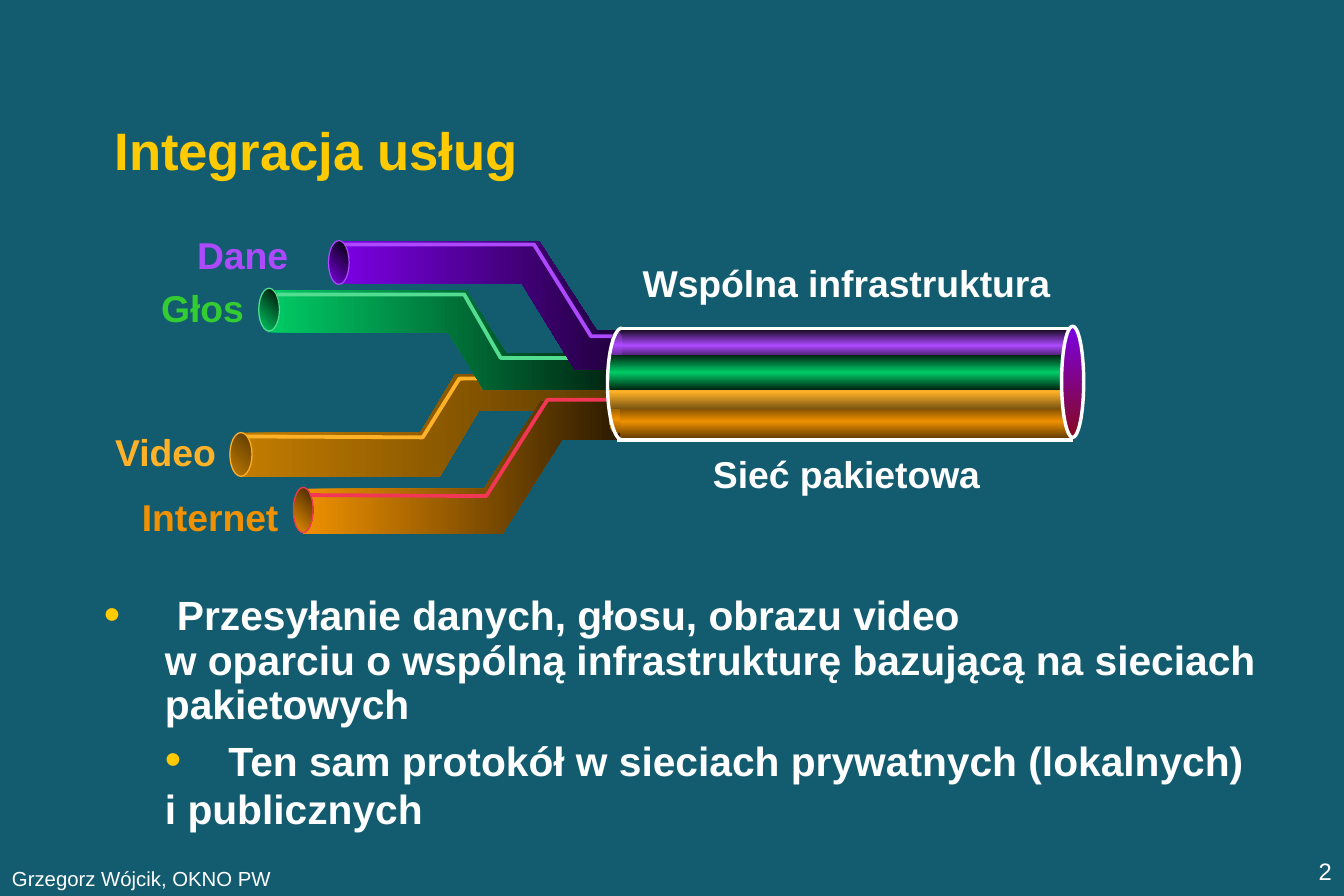
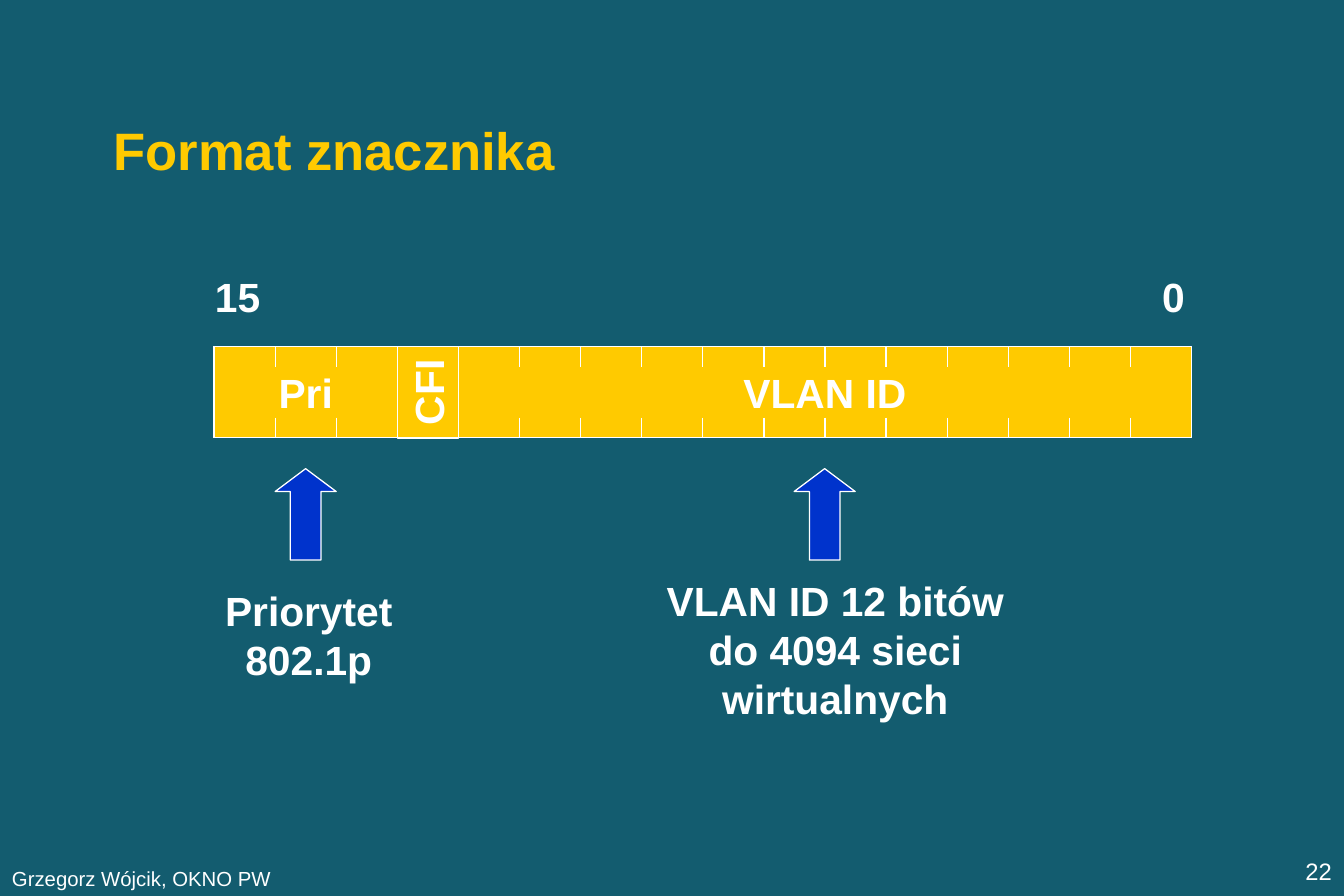
from copy import deepcopy
from math import cos, pi, sin

from pptx import Presentation
from pptx.dml.color import RGBColor
from pptx.enum.shapes import MSO_CONNECTOR, MSO_SHAPE
from pptx.enum.text import MSO_ANCHOR, PP_ALIGN
from pptx.oxml import parse_xml
from pptx.oxml.ns import nsdecls, qn
from pptx.util import Cm, Pt

WHITE, YELLOW, BLUE, TEAL = "FFFFFF", "FFCA00", "0033CC", "135C6F"
PURPLE, GREEN, AMBER, ORANGE = "AD49FF", "00CC66", "FFB227", "EF9100"
colour = RGBColor.from_string


def paint(shape, fill=(), line=None, width=0.75, angle=0):
    """Fill with no colour, one colour or a gradient; set the line and drop the shadow."""
    properties = shape._element.spPr
    if hasattr(shape, "fill"):
        if not fill:
            shape.fill.background()
        elif len(fill) == 1:
            shape.fill.solid()
            shape.fill.fore_color.rgb = colour(fill[0])
        else:
            shape.fill.gradient()
            shape.fill.gradient_angle = angle
            stops = properties.find(".//" + qn("a:gsLst"))
            for _ in fill[2:]:
                stops.append(deepcopy(stops[-1]))
            for number, stop in enumerate(shape.fill.gradient_stops):
                stop.position = number / (len(fill) - 1)
                stop.color.rgb = colour(fill[number])
    if line:
        shape.line.color.rgb = colour(line)
        shape.line.width = Pt(width)
    else:
        shape.line.fill.background()
    properties.append(parse_xml(f"<a:effectLst {nsdecls('a')}/>"))


def write(box, lines, size=24, ink=WHITE, bold=True, align=PP_ALIGN.LEFT,
          anchor=MSO_ANCHOR.TOP, inset=(0.25, 0.13), spacing=None):
    frame = box.text_frame
    side, end = map(Cm, inset)
    frame_format = {"word_wrap": True, "vertical_anchor": anchor,
                    "margin_left": side, "margin_right": side,
                    "margin_top": end, "margin_bottom": end}
    for name, value in frame_format.items():
        setattr(frame, name, value)
    for number, line in enumerate(lines):
        para = frame.add_paragraph() if number else frame.paragraphs[0]
        para.alignment = align
        para.line_spacing = spacing
        span = para.add_run()
        span.text = line
        font_format = {"name": "Arial", "size": Pt(size), "bold": bold}
        for name, value in font_format.items():
            setattr(span.font, name, value)
        span.font.color.rgb = colour(ink)


deck = Presentation()
deck.slide_width, deck.slide_height = Cm(27.94), Cm(18.62)
background = deck.slide_master.background.fill
background.solid()
background.fore_color.rgb = colour(TEAL)

# Title, author and page number on both slides
pages = []
for title, place, number in [
    ("Integracja usług", (2.13, 2.41, 9.6, 1.5), "2"),
    ("Format znacznika", (2.11, 2.41, 23.7, 1.5), "22"),
]:
    page = deck.slides.add_slide(deck.slide_layouts[6])
    pages.append(page)
    box = page.shapes.add_textbox(Cm(0), Cm(17.88), Cm(6.5), Cm(0.74))
    write(box, ["Grzegorz Wójcik, OKNO PW"], 12, bold=False, anchor=MSO_ANCHOR.MIDDLE)
    box = page.shapes.add_textbox(Cm(22.86), Cm(17.68), Cm(5.08), Cm(0.86))
    write(box, [number], 14, bold=False, align=PP_ALIGN.RIGHT, anchor=MSO_ANCHOR.MIDDLE)
    box = page.shapes.add_textbox(*map(Cm, place))
    write(box, [title], 31, YELLOW, anchor=MSO_ANCHOR.MIDDLE, spacing=0.95)
services, tag = pages

# Slide 1: four service pipes that run into one
box = services.shapes.add_textbox(Cm(12.42), Cm(5.46), Cm(10.36), Cm(4.93))
write(box, ["Wspólna infrastruktura", "Sieć pakietowa"], 22, align=PP_ALIGN.CENTER,
      inset=(0.18, 0.1), spacing=0.85)
box.text_frame.paragraphs[1].space_before = Pt(90)

pipes = [
    {"label": "Video", "ink": AMBER, "label_place": (1.83, 8.74, 3.02, 1.3),
     "body": [(5, 9.91), (9.14, 9.91), (9.96, 8.53), (12.98, 8.53),
              (12.98, 7.77), (9.47, 7.77), (8.74, 8.99), (5, 8.99)],
     "body_fill": ("C27C00", "5A3900"),
     "shine": [(5, 9.07), (8.79, 9.09), (9.55, 7.87), (10.95, 7.85)], "shine_colour": AMBER,
     "mouth": (4.78, 8.99, 0.46, 0.91), "mouth_fill": ("C27C00", "5A3900")},
    {"label": "Internet", "ink": ORANGE, "label_place": (2.24, 10.08, 3.91, 1.3),
     "body": [(6.3, 11.1), (10.44, 11.1), (11.68, 9.14), (13.06, 9.14),
              (13.06, 8.36), (11.25, 8.33), (10.06, 10.16), (6.32, 10.16)],
     "body_fill": (ORANGE, "261700"),
     "shine": [(6.32, 10.29), (10.11, 10.31), (11.38, 8.31), (13.21, 8.31)],
     "shine_colour": "F23655",
     "mouth": (6.1, 10.13, 0.41, 0.94), "mouth_fill": (ORANGE, "3F2600")},
    {"label": "Głos", "ink": "33CC33", "label_place": (2.51, 5.74, 2.92, 1.3),
     "body": [(5.56, 6.02), (9.68, 6.02), (10.52, 7.34), (12.95, 7.34),
              (12.95, 8.1), (10.06, 8.1), (9.32, 6.91), (5.56, 6.91)],
     "body_fill": (GREEN, "002110"),
     "shine": [(5.54, 6.12), (9.65, 6.12), (10.41, 7.44), (12.67, 7.44)],
     "shine_colour": "53DD91",
     "mouth": (5.38, 5.99, 0.43, 0.89), "mouth_fill": (GREEN, "000D06")},
    {"label": "Dane", "ink": PURPLE, "label_place": (2.97, 4.65, 3.38, 1.3),
     "body": [(11.2, 5), (12.4, 6.86), (12.93, 6.86), (12.93, 7.67),
              (11.96, 7.7), (10.85, 5.89), (7.06, 5.89), (7.06, 5)],
     "body_fill": ("7B00E4", "20003B"),
     "shine": [(6.99, 5.08), (11.1, 5.08), (12.29, 6.99), (13.08, 6.99)],
     "shine_colour": PURPLE,
     "mouth": (6.83, 5, 0.43, 0.91), "mouth_fill": ("7B00E4", "000000")},
]
for pipe in pipes:
    for part, closed, look in [
        ("body", True, {"fill": pipe["body_fill"]}),
        ("shine", False, {"line": pipe["shine_colour"], "width": 2.25}),
    ]:
        start, *rest = [(Cm(x), Cm(y)) for x, y in pipe[part]]
        outline = services.shapes.build_freeform(*start)
        outline.add_line_segments(rest, close=closed)
        paint(outline.convert_to_shape(), **look)
    mouth = services.shapes.add_shape(MSO_SHAPE.OVAL, *map(Cm, pipe["mouth"]))
    paint(mouth, pipe["mouth_fill"], pipe["shine_colour"], angle=45)
    box = services.shapes.add_textbox(*map(Cm, pipe["label_place"]))
    write(box, [pipe["label"]], 22, pipe["ink"], align=PP_ALIGN.RIGHT, inset=(0.36, 0.18))

strands = [
    (MSO_SHAPE.OVAL, (12.67, 8.41, 0.28, 0.61), "865100", ORANGE),
    (MSO_SHAPE.RECTANGLE, (12.9, 8.38, 9.32, 0.76), "563400", ORANGE),
    (MSO_SHAPE.RECTANGLE, (12.62, 7.77, 9.6, 0.74), "765212", AMBER),
    (MSO_SHAPE.RECTANGLE, (12.88, 6.86, 9.42, 0.64), "1C0C29", PURPLE),
    (MSO_SHAPE.OVAL, (12.7, 6.88, 0.25, 0.58), "502276", PURPLE),
    (MSO_SHAPE.RECTANGLE, (12.62, 7.37, 9.5, 0.74), "002110", GREEN),
]
for kind, place, edge, middle in strands:
    strand = services.shapes.add_shape(kind, *map(Cm, place))
    paint(strand, (edge, middle, edge), angle=270)

for left, right, y, width in [(12.93, 22.28, 6.83, 2), (12.83, 22.3, 9.14, 2.25)]:
    wall = services.shapes.add_connector(MSO_CONNECTOR.STRAIGHT, Cm(left), Cm(y), Cm(right), Cm(y))
    paint(wall, line=WHITE, width=width)

for direction in (1, -1):
    turns = [pi / 2 * step / 12 for step in range(13)]
    start, *rest = [(Cm(12.93 - 0.3 * sin(turn)), Cm(7.98 + direction * 1.16 * cos(turn)))
                    for turn in turns]
    rim = services.shapes.build_freeform(*start)
    rim.add_line_segments(rest, close=False)
    paint(rim.convert_to_shape(), line=WHITE, width=2)
far_end = services.shapes.add_shape(MSO_SHAPE.OVAL, Cm(22.07), Cm(6.78), Cm(0.46), Cm(2.31))
paint(far_end, ("7B00E4", "86091F"), WHITE, 2, angle=270)

# Each line: text, left margin, bullet hang, line spacing
summary = [
    ("Przesyłanie danych, głosu, obrazu video", 1.52, 1.52, 1.0),
    ("w oparciu o wspólną infrastrukturę bazującą na sieciach", 1.27, 0, 0.3),
    ("pakietowych", 1.27, 0, 0.4),
    ("Ten sam protokół w sieciach prywatnych (lokalnych)", 2.59, 1.32, 0.7),
    ("i publicznych", 1.27, 0, 0.4),
]
box = services.shapes.add_textbox(Cm(1.91), Cm(12.12), Cm(24.69), Cm(5.23))
write(box, [line[0] for line in summary], anchor=MSO_ANCHOR.MIDDLE)
for number, (para, (_, margin, hang, spacing)) in enumerate(zip(box.text_frame.paragraphs, summary)):
    layout = para._p.get_or_add_pPr()
    layout.set("marL", str(Cm(margin)))
    layout.set("indent", str(-Cm(hang)))
    if hang:
        for element in (f'<a:buClr {nsdecls("a")}><a:srgbClr val="{YELLOW}"/></a:buClr>',
                        f'<a:buSzPct {nsdecls("a")} val="115000"/>',
                        f'<a:buFont {nsdecls("a")} typeface="Arial"/>',
                        f'<a:buChar {nsdecls("a")} char="•"/>'):
            layout.append(parse_xml(element))
    para.line_spacing = spacing
    if number:
        para.space_before = Pt(15)

# Slide 2: the 16 bits of the tag
left, top, bit, height, tick = 4.45, 7.2, 1.27, 1.9, 0.42
bar = tag.shapes.add_shape(MSO_SHAPE.RECTANGLE, Cm(left), Cm(top), Cm(16 * bit), Cm(height))
paint(bar, (YELLOW,), WHITE)

fields = []
for name, first, bits in [("Pri", 0, 3), ("CFI", 3, 1), ("VLAN ID", 4, 12)]:
    upright = bits == 1
    wide, high = (height, bit) if upright else (bits * bit, height)
    field = tag.shapes.add_shape(
        MSO_SHAPE.RECTANGLE, Cm(left + (first + bits / 2) * bit - wide / 2),
        Cm(top + (height - high) / 2), Cm(wide), Cm(high))
    field.rotation = 270 if upright else 0
    paint(field, line=WHITE)
    write(field, [name], align=PP_ALIGN.CENTER, anchor=MSO_ANCHOR.MIDDLE, inset=(0, 0.13))
    fields.append(field)

joined = {8: bar, 10: fields[2]}
bottom = top + height
for number in range(1, 16):
    x = Cm(left + number * bit)
    if number in (3, 4):
        spans = [(top, bottom)]
    else:
        spans = [(top, top + tick), (bottom - tick, bottom)]
    for start, end in spans:
        mark = tag.shapes.add_connector(MSO_CONNECTOR.STRAIGHT, x, Cm(start), x, Cm(end))
        paint(mark, line=WHITE)
        if number in joined and start == top:
            mark.begin_connect(joined[number], 0)
        elif number in joined:
            mark.end_connect(joined[number], 2)

for lines, place, align in [
    (["15"], (4.24, 5.52, 2, 1.24), PP_ALIGN.LEFT),
    (["0"], (23.93, 5.52, 1.2, 1.24), PP_ALIGN.LEFT),
    (["Priorytet", "802.1p"], (3.92, 12.05, 5, 2.26), PP_ALIGN.CENTER),
    (["VLAN ID 12 bitów do 4094 sieci wirtualnych"], (13.34, 11.84, 8.05, 3.28),
     PP_ALIGN.CENTER),
]:
    box = tag.shapes.add_textbox(*map(Cm, place))
    write(box, lines, align=align, inset=(0.23, 0.13))

for x in (5.72, 16.51):
    arrow = tag.shapes.add_shape(MSO_SHAPE.UP_ARROW, Cm(x), Cm(9.74), Cm(bit), Cm(height))
    arrow.adjustments[0], arrow.adjustments[1] = 0.5, 0.375
    paint(arrow, (BLUE,), WHITE)

deck.save("out.pptx")
